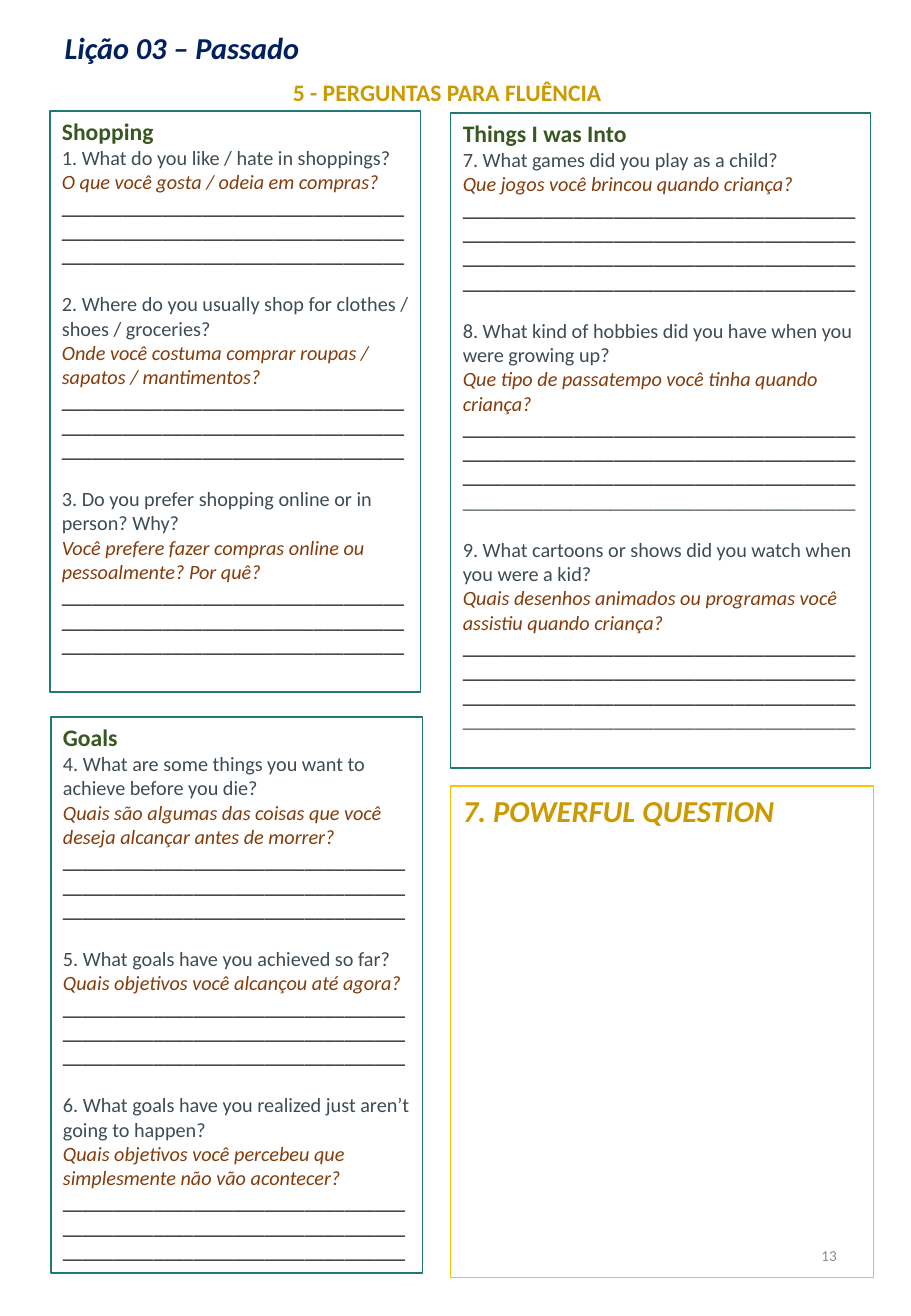
from dataclasses import dataclass

from pptx import Presentation
from pptx.dml.color import RGBColor
from pptx.enum.shapes import MSO_SHAPE
from pptx.enum.text import MSO_ANCHOR, PP_ALIGN
from pptx.util import Emu, Inches, Pt

PIXEL = 914400 / 121.5
FONT = "Calibri"
BLANK_LINE = 14.65  # points: the height of one 12 pt line
COLORS = {
    "navy": "002060", "gold": "CC9900", "amber": "FFC000", "teal": "1F7872",
    "green": "385723", "slate": "3D4C53", "brown": "843C0B",
    "black": "000000", "gray": "8C8C8C",
}


@dataclass(frozen=True)
class Area:
    left: int
    top: int
    width: int
    height: int

    def to_emu(self) -> list[Emu]:
        return [Emu(round(side * PIXEL))
                for side in (self.left, self.top, self.width, self.height)]


@dataclass(frozen=True)
class Question:
    english: str
    portuguese: str
    last_rule: str = "black"


@dataclass(frozen=True)
class Topic:
    title: str
    area: Area
    rules: int        # answer lines under each question
    rule_length: int  # underscores in each answer line
    questions: tuple[Question, ...]


TOPICS = (
    Topic("Shopping", Area(50, 111, 371, 581), 3, 34, (
        Question("1. What do you like / hate in shoppings?",
                 "O que você gosta / odeia em compras?"),
        Question("2. Where do you usually shop for clothes / shoes / groceries?",
                 "Onde você costuma comprar roupas / sapatos / mantimentos?"),
        Question("3. Do you prefer shopping online or in person? Why?",
                 "Você prefere fazer compras online ou pessoalmente? Por quê?"),
    )),
    Topic("Goals", Area(51, 717, 372, 556), 3, 34, (
        Question("4. What are some things you want to achieve before you die?",
                 "Quais são algumas das coisas que você deseja alcançar antes de morrer?"),
        Question("5. What goals have you achieved so far?",
                 "Quais objetivos você alcançou até agora?"),
        Question("6. What goals have you realized just aren’t going to happen?",
                 "Quais objetivos você percebeu que simplesmente não vão acontecer?"),
    )),
    Topic("Things I was Into", Area(451, 113, 420, 655), 4, 39, (
        Question("7. What games did you play as a child?",
                 "Que jogos você brincou quando criança?"),
        Question("8. What kind of hobbies did you have when you were growing up?",
                 "Que tipo de passatempo você tinha quando criança?", "slate"),
        Question("9. What cartoons or shows did you watch when you were a kid?",
                 "Quais desenhos animados ou programas você assistiu quando criança?",
                 "slate"),
    )),
)


def write(frame, text: str, *, size: float = 12, color: str = "slate",
          bold: bool = False, italic: bool = False, align=PP_ALIGN.LEFT,
          before: float = 0, spacing: float = 1.0) -> None:
    """Write into the empty first paragraph, or add a paragraph below."""
    first = frame.paragraphs[0]
    para = frame.add_paragraph() if first.runs else first
    para.alignment = align
    para.space_before = Pt(before)
    para.line_spacing = spacing
    span = para.add_run()
    span.text = text
    span.font.name = FONT
    span.font.size = Pt(size)
    span.font.bold = bold
    span.font.italic = italic
    span.font.color.rgb = RGBColor.from_string(COLORS[color])


def add_frame(page, area: Area, border: str):
    box = page.shapes.add_shape(MSO_SHAPE.RECTANGLE, *area.to_emu())
    box.shadow.inherit = False
    box.fill.background()
    box.line.color.rgb = RGBColor.from_string(COLORS[border])
    box.line.width = Pt(0.75)
    box.text_frame.word_wrap = True
    box.text_frame.vertical_anchor = MSO_ANCHOR.TOP
    return box.text_frame


def add_label(page, area: Area, text: str, *, wrap: bool = False,
              anchor=MSO_ANCHOR.TOP, **style) -> None:
    frame = page.shapes.add_textbox(*area.to_emu()).text_frame
    frame.word_wrap = wrap
    frame.vertical_anchor = anchor
    write(frame, text, **style)


def add_topic(page, topic: Topic) -> None:
    frame = add_frame(page, topic.area, "teal")
    write(frame, topic.title, size=14, color="green", bold=True)
    for index, question in enumerate(topic.questions):
        write(frame, question.english, before=BLANK_LINE if index else 0)
        write(frame, question.portuguese, color="brown", italic=True)
        for color in ["black"] * (topic.rules - 1) + [question.last_rule]:
            write(frame, "_" * topic.rule_length, color=color)


deck = Presentation()
deck.slide_width, deck.slide_height = Inches(7.5), Inches(10.83)
page = deck.slides.add_slide(deck.slide_layouts[6])

# Question boxes
for topic in TOPICS:
    add_topic(page, topic)

# Section heading
add_label(page, Area(281, 72, 335, 41), "5 - PERGUNTAS PARA FLUÊNCIA",
          size=14, color="gold", bold=True)

# Powerful question box
write(add_frame(page, Area(451, 786, 423, 491), "amber"),
      "7. POWERFUL QUESTION", size=18, color="gold", bold=True, italic=True)

# Page number
add_label(page, Area(644, 1220, 205, 70), "13", wrap=True,
          anchor=MSO_ANCHOR.MIDDLE, size=9, color="gray", align=PP_ALIGN.RIGHT)

# Lesson title
add_label(page, Area(51, 21, 262, 52), "Lição 03 – Passado", size=18,
          color="navy", bold=True, italic=True, align=PP_ALIGN.CENTER,
          spacing=1.07)

deck.save("out.pptx")
